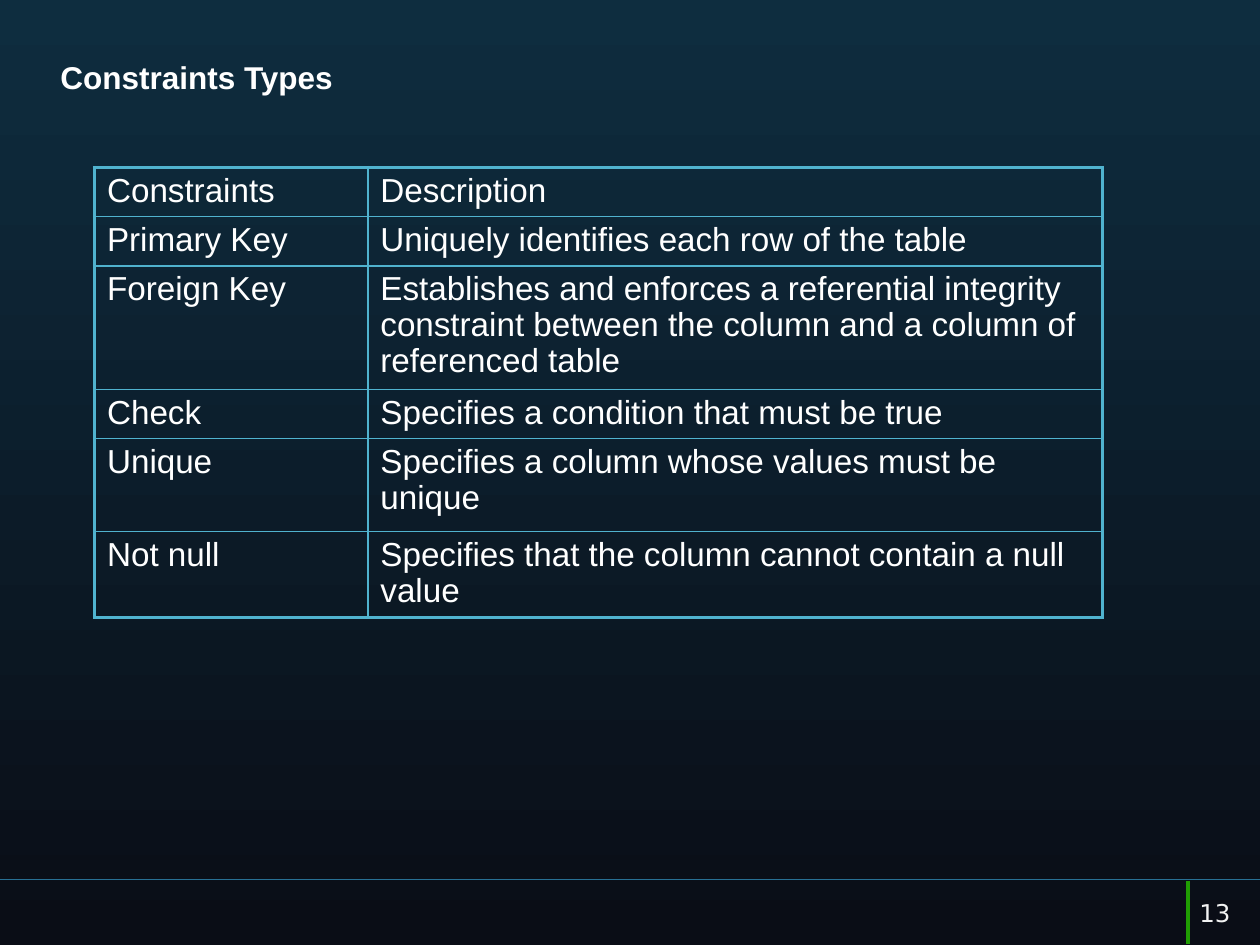
import pptx
import pptx.util
import pptx.dml.color
import pptx.enum.shapes
import pptx.enum.text
import pptx.oxml.ns
from lxml import etree

Inches = pptx.util.Inches
Pt = pptx.util.Pt
RGBColor = pptx.dml.color.RGBColor

TOP_BLUE = RGBColor(0x0E, 0x2D, 0x3F)
BOTTOM_NAVY = RGBColor(0x0A, 0x0D, 0x16)
WHITE = RGBColor(0xFF, 0xFF, 0xFF)
PALE = RGBColor(0xF2, 0xF2, 0xF2)
RULE_BLUE = RGBColor(0x28, 0x70, 0x94)
GREEN = RGBColor(0x20, 0x9D, 0x03)
BORDER = RGBColor(0x50, 0xB3, 0xCF)

COLUMN_WIDTHS = (2.17, 5.83)
CONSTRAINTS = [  # name, description, row height
    ("Constraints", "Description", 0.39),
    ("Primary Key", "Uniquely identifies each row of the table", 0.39),
    ("Foreign Key", "Establishes and enforces a referential integrity constraint "
     "between the column and a column of referenced table", 0.98),
    ("Check", "Specifies a condition that must be true", 0.39),
    ("Unique", "Specifies a column whose values must be unique", 0.74),
    ("Not null", "Specifies that the column cannot contain a null value", 0.68),
]


def style_font(font, name, size, color, bold=False):
    font.name, font.size, font.bold = name, Pt(size), bold
    font.color.rgb = color


def add_background(s):
    fill = s.background.fill
    fill.gradient()
    fill.gradient_angle = 270
    for stop, color in zip(fill.gradient_stops, (TOP_BLUE, BOTTOM_NAVY)):
        stop.color.rgb = color


def add_rule(s, x1, y1, x2, y2, color, width):
    line = s.shapes.add_connector(pptx.enum.shapes.MSO_CONNECTOR.STRAIGHT,
                                  Inches(x1), Inches(y1), Inches(x2), Inches(y2))
    line.line.color.rgb = color
    line.line.width = Pt(width)
    etree.SubElement(line._element.spPr, pptx.oxml.ns.qn("a:effectLst"))


def add_title(s, left, top, width, height):
    sp = s.shapes.title
    sp.left, sp.top, sp.width, sp.height = map(Inches, (left, top, width, height))
    tf = sp.text_frame
    tf.text = "Constraints Types"
    tf.vertical_anchor = pptx.enum.text.MSO_ANCHOR.TOP
    tf.margin_top = Inches(0.07)
    p = tf.paragraphs[0]
    p.alignment = pptx.enum.text.PP_ALIGN.LEFT
    style_font(p.font, "Arial", 18, WHITE, bold=True)


def set_borders(cell, widths):
    tc_pr = cell._tc.get_or_add_tcPr()
    for side, width in zip("LRTB", widths):
        ln = etree.SubElement(tc_pr, pptx.oxml.ns.qn(f"a:ln{side}"), w=str(Pt(width)))
        fill = etree.SubElement(ln, pptx.oxml.ns.qn("a:solidFill"))
        etree.SubElement(fill, pptx.oxml.ns.qn("a:srgbClr"), val=str(BORDER))


def add_constraints_table(s, left, top):
    last_row, last_col = len(CONSTRAINTS) - 1, len(COLUMN_WIDTHS) - 1
    height = sum(row[-1] for row in CONSTRAINTS)
    table = s.shapes.add_table(last_row + 1, last_col + 1, Inches(left), Inches(top),
                               Inches(sum(COLUMN_WIDTHS)), Inches(height)).table
    table.first_row = table.horz_banding = False
    for column, width in zip(table.columns, COLUMN_WIDTHS):
        column.width = Inches(width)
    for i, (*texts, row_height) in enumerate(CONSTRAINTS):
        table.rows[i].height = Inches(row_height)
        for j, text in enumerate(texts):
            cell = table.cell(i, j)
            cell.text = text
            p = cell.text_frame.paragraphs[0]
            p.line_spacing = 0.97
            style_font(p.font, "Arial", 19, WHITE)
            # Thick lines on the outer edge, thin ones inside
            outer = (j == 0, j == last_col, i == 0, i == last_row)
            set_borders(cell, [2.25 if edge else 1 for edge in outer])
            cell.fill.background()


def add_footer(s, top):
    add_rule(s, 10, top, 0, top, RULE_BLUE, 0.75)
    add_rule(s, 9.43, top + 0.01, 9.43, top + 0.51, GREEN, 2)
    # Page number
    sp = s.shapes.add_textbox(Inches(9.42), Inches(top + 0.1), Inches(0.81), Inches(0.25))
    tf = sp.text_frame
    tf.word_wrap = True
    p = tf.paragraphs[0]
    p.text = "13"
    style_font(p.font, "DejaVu Sans", 14, PALE)


def main():
    prs = pptx.Presentation()
    prs.slide_width, prs.slide_height = Inches(10), Inches(7.5)
    s = prs.slides.add_slide(prs.slide_layouts[5])
    add_background(s)
    add_title(s, 0.38, 0.39, 9.18, 0.66)
    add_constraints_table(s, 0.75, 1.33)
    add_footer(s, 6.98)
    prs.save("out.pptx")


if __name__ == "__main__":
    main()
